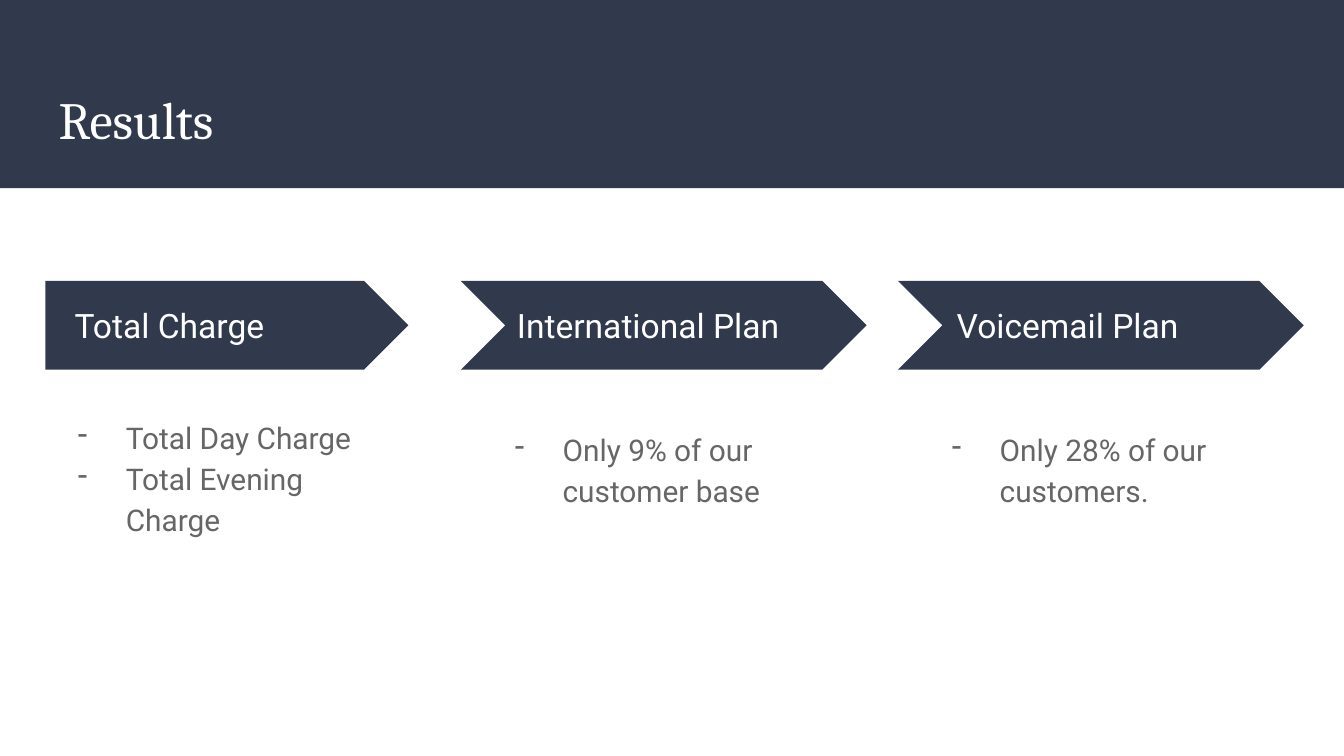
from lxml.etree import SubElement
from pptx import Presentation
from pptx.dml.color import RGBColor
from pptx.enum.shapes import MSO_SHAPE as Shape
from pptx.enum.text import MSO_ANCHOR as Anchor, MSO_AUTO_SIZE as AutoSize, PP_ALIGN as Align
from pptx.oxml.ns import qn
from pptx.util import Cm, Pt

NAVY = RGBColor(0x31, 0x39, 0x4D)
GRAY = RGBColor(0x66, 0x66, 0x66)
WHITE = RGBColor(0xFF, 0xFF, 0xFF)
SLIDE_W, SLIDE_H = 25.4, 14.29
ARROW_TOP, ARROW_H = 5.31, 1.68
LABEL_W, LABEL_H = 6.27, 0.86
NOTES_W, NOTES_MIDDLE = 6.86, 9.44


def place(part, left, top, width, height):
    """Move and size a part, in centimetres."""
    part.left, part.top, part.width, part.height = map(Cm, (left, top, width, height))


def add_dash(paragraph):
    """Give a paragraph a hanging dash bullet."""
    props = paragraph._p.get_or_add_pPr()
    props.set("marL", str(Cm(1.27)))
    props.set("indent", str(Cm(-0.91)))
    color = SubElement(props, qn("a:buClr"))
    SubElement(color, qn("a:srgbClr"), val=str(GRAY))
    SubElement(props, qn("a:buChar"), char="-")


def write(part, lines, size, color, font="Roboto", anchor=Anchor.TOP, dashed=False, spacing=None):
    """Fill a part with formatted paragraphs."""
    frame = part.text_frame
    frame.word_wrap = True
    frame.auto_size = AutoSize.NONE
    frame.vertical_anchor = anchor
    frame.margin_left = frame.margin_right = Cm(0.25)
    frame.margin_top = frame.margin_bottom = Cm(0.25)
    frame.text = "\n".join(lines)
    for paragraph in frame.paragraphs:
        if dashed:
            add_dash(paragraph)
        paragraph.alignment = Align.LEFT
        paragraph.line_spacing = spacing
        for run in paragraph.runs:
            run.font.size = Pt(size)
            run.font.name = font
            run.font.color.rgb = color


def add_block(slide, preset, left, top, width, height):
    """Add a plain navy shape."""
    block = slide.shapes.add_shape(preset, *map(Cm, (left, top, width, height)))
    block.shadow.inherit = False
    block.fill.solid()
    block.fill.fore_color.rgb = NAVY
    block.line.fill.background()
    return block


def add_header(slide, left, top, width, height, heading):
    """Draw the header band with the title on it."""
    band = add_block(slide, Shape.RECTANGLE, left, top, width, height)
    title = slide.shapes.title
    title._element.addprevious(band._element)
    place(title, left + 0.86, top + 1.4, width - 1.72, 1.73)
    write(title, [heading], 28, WHITE, font="Cambria")


def add_step(slide, left, top, width, height, preset, label, label_inset, notes, notes_h):
    """Draw an arrow with its label, and its notes centred below."""
    add_block(slide, preset, left, top, width, height)
    label_box = slide.shapes.add_textbox(0, 0, 0, 0)
    place(label_box, left + label_inset, top + (height - LABEL_H) / 2, LABEL_W, LABEL_H)
    write(label_box, [label], 18, WHITE, anchor=Anchor.MIDDLE)
    notes_box = slide.shapes.add_textbox(0, 0, 0, 0)
    place(notes_box, left + (width - NOTES_W) / 2, NOTES_MIDDLE - notes_h / 2, NOTES_W, notes_h)
    write(notes_box, notes, 16, GRAY, dashed=True, spacing=1.15)


def main():
    """Build the results slide."""
    deck = Presentation()
    deck.slide_width, deck.slide_height = Cm(SLIDE_W), Cm(SLIDE_H)
    slide = deck.slides.add_slide(deck.slide_layouts[5])
    add_header(slide, 0, 0, SLIDE_W, 3.56, "Results")
    steps = [
        (0.86, 6.86, Shape.PENTAGON, "Total Charge", 0.3,
         ["Total Day Charge", "Total Evening Charge"], 3.73),
        (8.71, 7.67, Shape.CHEVRON, "International Plan", 0.81,
         ["Only 9% of our customer base"], 3.25),
        (16.97, 7.67, Shape.CHEVRON, "Voicemail Plan", 0.86,
         ["Only 28% of our customers."], 3.25),
    ]
    for left, width, *content in steps:
        add_step(slide, left, ARROW_TOP, width, ARROW_H, *content)
    deck.save("out.pptx")


if __name__ == "__main__":
    main()
